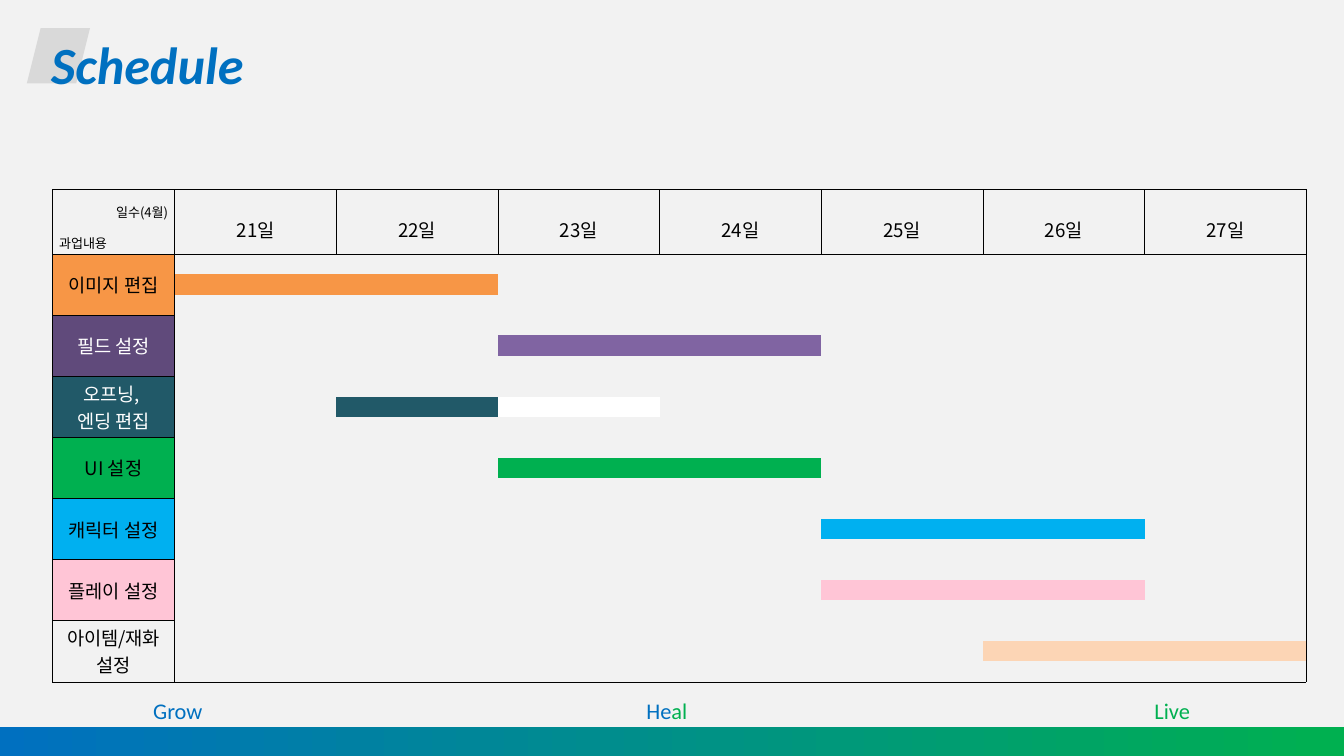
from lxml import etree
from pptx import Presentation
from pptx.dml.color import RGBColor
from pptx.enum.shapes import MSO_SHAPE
from pptx.enum.text import MSO_ANCHOR, MSO_AUTO_SIZE, PP_ALIGN
from pptx.oxml.ns import qn
from pptx.util import Inches, Pt

LEFT, CENTER, RIGHT, JUSTIFY = PP_ALIGN.LEFT, PP_ALIGN.CENTER, PP_ALIGN.RIGHT, PP_ALIGN.JUSTIFY
TOP, MIDDLE = MSO_ANCHOR.TOP, MSO_ANCHOR.MIDDLE
LATIN, KOREAN = "Calibri", "Noto Sans CJK KR"
TITLE_ONLY = 5
NO_STYLE = "{2D5ABB26-0587-4C30-8999-92F81FD0307C}"
COLORS = {
    "page": "F2F2F2", "accent": "D9D9D9", "blue": "0070C0", "green": "00B050",
    "black": "000000", "white": "FFFFFF", "orange": "F79646", "plum": "604A7B",
    "violet": "8064A2", "teal": "215968", "sky": "00B0F0", "pink": "FFC5D6",
    "peach": "FCD5B5",
}

DAYS = [f"{day}일" for day in range(21, 28)]
# Label lines, label fill, label text colour, bar colour by day column
TASKS = [
    (["이미지 편집"], "orange", "black", {1: "orange", 2: "orange"}),
    (["필드 설정"], "plum", "white", {3: "violet", 4: "violet"}),
    (["오프닝, ", "엔딩 편집"], "teal", "white", {2: "teal", 3: "white"}),
    (["UI 설정"], "green", "black", {3: "green", 4: "green"}),
    (["캐릭터 설정"], "sky", "black", {5: "sky", 6: "sky"}),
    (["플레이 설정"], "pink", "black", {5: "pink", 6: "pink"}),
    (["아이템/재화", "설정"], None, "black", {6: "peach", 7: "peach"}),
]
ROWS_PER_TASK = 3
TABLE_WIDTH, LABEL_WIDTH = 9.33, 0.91
HEADER_HEIGHT, BODY_HEIGHT = 0.48, 3.19
FOOTER_TABS = [1.14, 4.81, 8.59]
ALL_SIDES = "LRTB"


def rgb(name):
    return RGBColor.from_string(COLORS[name])


class SlideBuilder:
    def __init__(self, slide):
        self.slide = slide
        slide.background.fill.solid()
        slide.background.fill.fore_color.rgb = rgb("page")

    def style(self, paragraph, font, size, color=None, align=LEFT):
        paragraph.alignment = align
        paragraph.font.name = font
        paragraph.font.size = Pt(size)
        if color:
            paragraph.font.color.rgb = rgb(color)
        if font == KOREAN:
            etree.SubElement(paragraph.font._element, qn("a:ea"), typeface=font)

    def shape(self, kind, left, top, width, height):
        shape = self.slide.shapes.add_shape(
            kind, Inches(left), Inches(top), Inches(width), Inches(height))
        shape.shadow.inherit = False
        shape.line.fill.background()
        return shape

    def title(self, text, left, top, width, height):
        title = self.slide.shapes.title
        title.left, title.top = Inches(left), Inches(top)
        title.width, title.height = Inches(width), Inches(height)
        frame = title.text_frame
        frame.text = text
        frame.auto_size = MSO_AUTO_SIZE.NONE
        frame.vertical_anchor = TOP
        heading = frame.paragraphs[0]
        self.style(heading, LATIN, 28, "blue")
        heading.font.bold = heading.font.italic = True
        # Bring the title in front of the accent shape
        self.slide.shapes._spTree.append(title._element)

    def tabbed_line(self, runs, tabs, left, top, width, height):
        box = self.slide.shapes.add_textbox(
            Inches(left), Inches(top), Inches(width), Inches(height))
        frame = box.text_frame
        frame.word_wrap = True
        frame.vertical_anchor = MIDDLE
        frame.margin_left = frame.margin_right = 0
        line = frame.paragraphs[0]
        stops = etree.SubElement(line._p.get_or_add_pPr(), qn("a:tabLst"))
        for position in tabs:
            etree.SubElement(stops, qn("a:tab"), pos=str(Inches(position)), algn="l")
        self.style(line, LATIN, 12)
        for text, color in runs:
            run = line.add_run()
            run.text = text
            run.font.color.rgb = rgb(color)

    def table(self, rows, columns, left, top, width, height):
        frame = self.slide.shapes.add_table(
            rows, columns, Inches(left), Inches(top), Inches(width), Inches(height))
        table = frame.table
        table.first_row = table.horz_banding = False
        table._tbl.tblPr.find(qn("a:tableStyleId")).text = NO_STYLE
        return table

    def cell(self, cell, sides, fill=None):
        cell.margin_left = cell.margin_right = Inches(0.05)
        cell.margin_top = cell.margin_bottom = Inches(0.01)
        cell.vertical_anchor = MIDDLE
        properties = cell._tc.get_or_add_tcPr()
        for side in ALL_SIDES:
            border = etree.SubElement(properties, qn(f"a:ln{side}"), w=str(Pt(0.28)))
            if side in sides:
                solid = etree.SubElement(border, qn("a:solidFill"))
                etree.SubElement(solid, qn("a:srgbClr"), val=COLORS["black"])
            else:
                etree.SubElement(border, qn("a:noFill"))
        if fill:
            cell.fill.solid()
            cell.fill.fore_color.rgb = rgb(fill)
        else:
            cell.fill.background()

    def cell_text(self, cell, lines, size, color, aligns, spacing=None):
        cell.text = "\n".join(lines)
        for paragraph, align in zip(cell.text_frame.paragraphs, aligns):
            self.style(paragraph, KOREAN, size, color, align)
            if spacing:
                paragraph.line_spacing = spacing

    def empty_cell(self, cell):
        # A tiny text size keeps the thin rows from growing
        paragraph = cell.text_frame.paragraphs[0]._p
        etree.SubElement(paragraph, qn("a:endParaRPr"), sz="100")


def add_schedule(builder):
    row_count = 1 + ROWS_PER_TASK * len(TASKS)
    last_row, last_column = row_count - 1, len(DAYS)
    schedule = builder.table(row_count, last_column + 1, 0.39, 1.41,
                             TABLE_WIDTH, HEADER_HEIGHT + BODY_HEIGHT)
    day_width = (TABLE_WIDTH - LABEL_WIDTH) / last_column
    for index, column in enumerate(schedule.columns):
        column.width = Inches(day_width if index else LABEL_WIDTH)
    for index, row in enumerate(schedule.rows):
        row.height = Inches(BODY_HEIGHT / last_row if index else HEADER_HEIGHT)

    # Header row
    for column, lines in enumerate([["일수(4월)", "과업내용"]] + [[day] for day in DAYS]):
        header = schedule.cell(0, column)
        builder.cell(header, ALL_SIDES)
        aligns = [CENTER] if column else [RIGHT, JUSTIFY]
        builder.cell_text(header, lines, 10 if column else 7, "black", aligns, 1.6)

    # Task labels and their bars, each bar in the middle row of its task
    for task, (lines, label_fill, text_color, bars) in enumerate(TASKS):
        first = 1 + task * ROWS_PER_TASK
        for row in range(first, first + ROWS_PER_TASK):
            label = schedule.cell(row, 0)
            builder.cell(label, ALL_SIDES, label_fill)
            if row == first:
                builder.cell_text(label, lines, 10, text_color, [CENTER] * len(lines))
            else:
                builder.empty_cell(label)
            for column in range(1, last_column + 1):
                day_cell = schedule.cell(row, column)
                edges = {"L": column == 1, "R": column == last_column,
                         "T": row == 1, "B": row == last_row}
                sides = [side for side, outer in edges.items() if outer]
                builder.cell(day_cell, sides, bars.get(column) if row == first + 1 else None)
                builder.empty_cell(day_cell)
        schedule.cell(first, 0).merge(schedule.cell(first + ROWS_PER_TASK - 1, 0))


def main():
    deck = Presentation()
    deck.slide_width = Inches(10)
    deck.slide_height = deck.slide_width * 9 // 16
    builder = SlideBuilder(deck.slides.add_slide(deck.slide_layouts[TITLE_ONLY]))

    # Title with its accent
    accent = builder.shape(MSO_SHAPE.PARALLELOGRAM, 0.2, 0.21, 0.47, 0.41)
    accent.fill.solid()
    accent.fill.fore_color.rgb = rgb("accent")
    builder.title("Schedule", 0.28, 0.19, 3.62, 0.5)

    # Footer band and slogan
    band = builder.shape(MSO_SHAPE.RECTANGLE, 0, 5.41, 10, 0.24)
    band.fill.gradient()
    band.fill.gradient_angle = 0
    for stop, color in zip(band.fill.gradient_stops, ["blue", "green"]):
        stop.color.rgb = rgb(color)
    builder.tabbed_line([("\tGrow\tHe", "blue"), ("al\tLive", "green")],
                        FOOTER_TABS, 0, 5.1, 10, 0.37)

    add_schedule(builder)
    deck.save("out.pptx")


if __name__ == "__main__":
    main()
